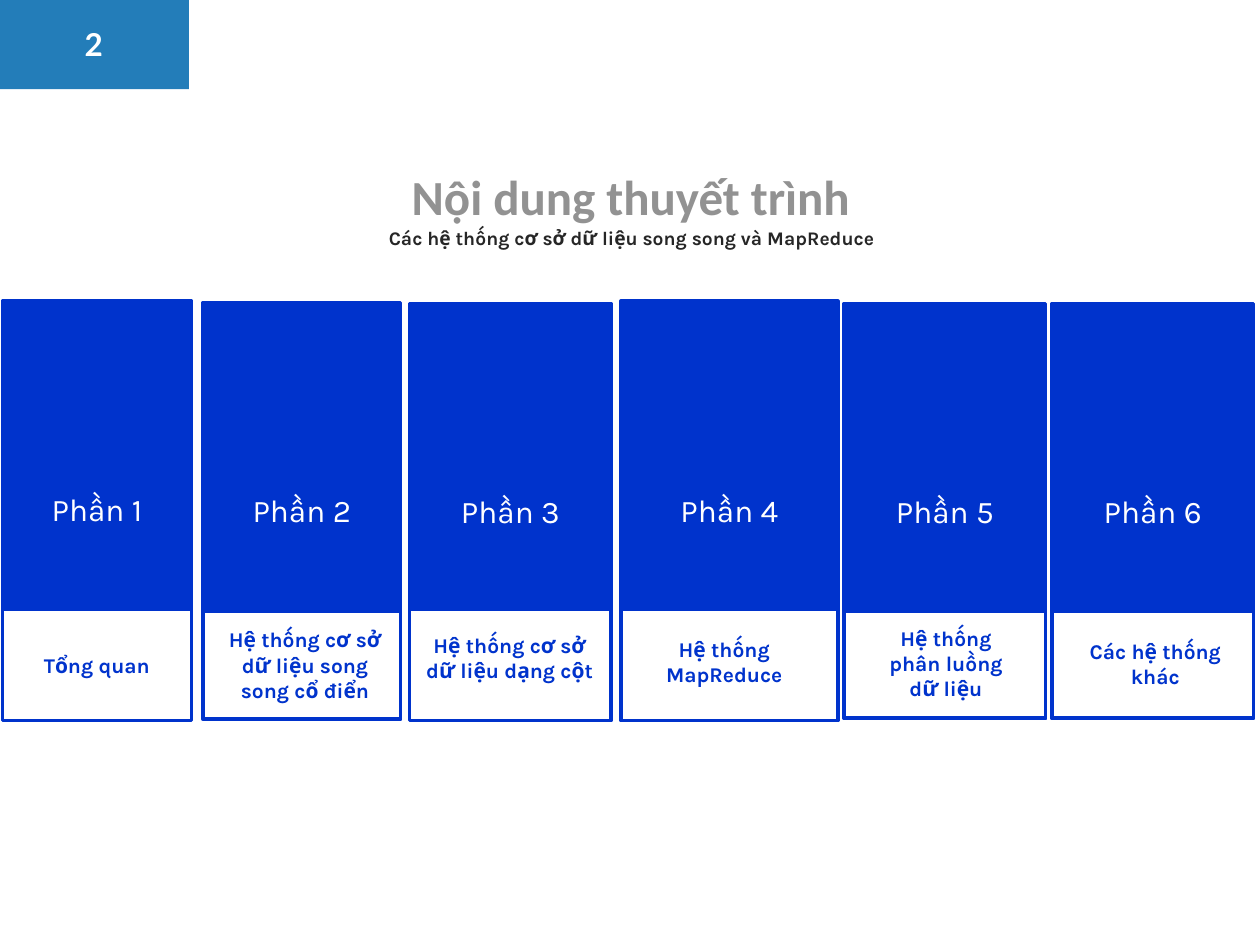
from lxml import etree
from pptx import Presentation
from pptx import util as u
from pptx.dml.color import RGBColor
from pptx.enum import shapes, text
from pptx.oxml.ns import qn

# Content: heading, label, column (left, width), panel (top, height),
# label box (top, height), label text (left, top, width, height), all in cm
PARTS = [
    ("Phần 1", "Tổng quan",
     (0.05, 3.81), (6.07, 8.36), (12.29, 2.24), (0.05, 13.03, 3.81, 0.76)),
    ("Phần 2", "Hệ thống cơ sở dữ liệu song song cổ điển",
     (4.09, 3.99), (6.1, 8.36), (12.32, 2.18), (4.17, 12.5, 3.96, 1.8)),
    ("Phần 3", "Hệ thống cơ sở dữ liệu dạng cột",
     (8.26, 4.06), (6.12, 8.36), (12.29, 2.24), (8.28, 12.62, 3.99, 1.27)),
    ("Phần 4", "Hệ thống MapReduce",
     (12.52, 4.37), (6.07, 8.43), (12.29, 2.24), (12.9, 12.7, 3.4, 1.27)),
    ("Phần 5", "Hệ thống phân luồng dữ liệu",
     (17.02, 4.06), (6.12, 8.36), (12.32, 2.16), (17.37, 12.47, 3.4, 1.8)),
    ("Phần 6", "Các hệ thống khác",
     (21.21, 4.06), (6.12, 8.36), (12.32, 2.16), (21.59, 12.75, 3.4, 1.27)),
]
TITLE = "Nội dung thuyết trình"
SUBTITLE = "Các hệ thống cơ sở dữ liệu song song và MapReduce"
PAGE = "2"

COLORS = {"tab": "237DB9", "blue": "0033CC", "white": "FFFFFF",
          "gray": "929292", "dark": "262626"}
FONTS = {
    "title": ({"name": "Calibri", "size": u.Pt(28), "bold": True}, "gray"),
    "subtitle": ({"name": "Karla", "size": u.Pt(11), "bold": True}, "dark"),
    "page": ({"name": "Lato", "size": u.Pt(18), "bold": True}, "white"),
    "part": ({"name": "Karla", "size": u.Pt(18), "bold": False}, "white"),
    "label": ({"name": "Karla", "size": u.Pt(12), "bold": True}, "blue"),
}
NO_INSET = {f"margin_{side}": 0 for side in ("left", "top", "right", "bottom")}


def rgb(name):
    return RGBColor.from_string(COLORS[name])


def place(sp, box):
    for key, value in zip(("left", "top", "width", "height"), box):
        setattr(sp, key, u.Cm(value))


def write(sp, words, style, **frame):
    tf = sp.text_frame
    settings = {"word_wrap": True, "auto_size": text.MSO_AUTO_SIZE.NONE,
                "vertical_anchor": text.MSO_ANCHOR.MIDDLE, **frame}
    for key, value in settings.items():
        setattr(tf, key, value)
    p = tf.paragraphs[0]
    p.alignment = text.PP_ALIGN.CENTER
    r = p.add_run()
    r.text = words
    font, color = FONTS[style]
    for key, value in font.items():
        setattr(r.font, key, value)
    r.font.color.rgb = rgb(color)
    return p


def add_rect(s, box, fill, line=None):
    sp = s.shapes.add_shape(shapes.MSO_SHAPE.RECTANGLE, *map(u.Cm, box))
    sp.shadow.inherit = False
    sp.fill.solid()
    sp.fill.fore_color.rgb = rgb(fill)
    if line:
        sp.line.color.rgb = rgb(line)
        sp.line.width = u.Pt(2)
    else:
        sp.line.fill.background()
    return sp


def add_text(s, box, words, style, **frame):
    write(s.shapes.add_textbox(*map(u.Cm, box)), words, style, **frame)


def main():
    prs = Presentation()
    prs.slide_width, prs.slide_height = u.Cm(25.4), u.Cm(19.05)
    s = prs.slides.add_slide(prs.slide_layouts[1])

    # Page number tab
    add_rect(s, (0, 0, 3.81, 1.8), "tab")
    add_text(s, (1.47, 0.51, 0.84, 0.76), PAGE, "page", **NO_INSET)

    # Title and subtitle
    title, body = s.shapes.title, s.placeholders[1]
    place(title, (4.88, 3.45, 15.67, 0.99))
    write(title, TITLE, "title", **NO_INSET)
    place(body, (6.32, 4.45, 12.83, 0.69))
    p = write(body, SUBTITLE, "subtitle", **NO_INSET)
    pPr = p._p.get_or_add_pPr()
    pPr.set("marL", "0")
    pPr.set("indent", "0")
    etree.SubElement(pPr, qn("a:buNone"))

    # Columns: blue panel, white label box, label text
    for part, label, (x, w), (top, h), (label_top, label_h), text_box in PARTS:
        panel = add_rect(s, (x, top, w, h), "blue", "blue")
        write(panel, part, "part")
        add_rect(s, (x, label_top, w, label_h), "white", "blue")
        add_text(s, text_box, label, "label")

    prs.save("out.pptx")


if __name__ == "__main__":
    main()
